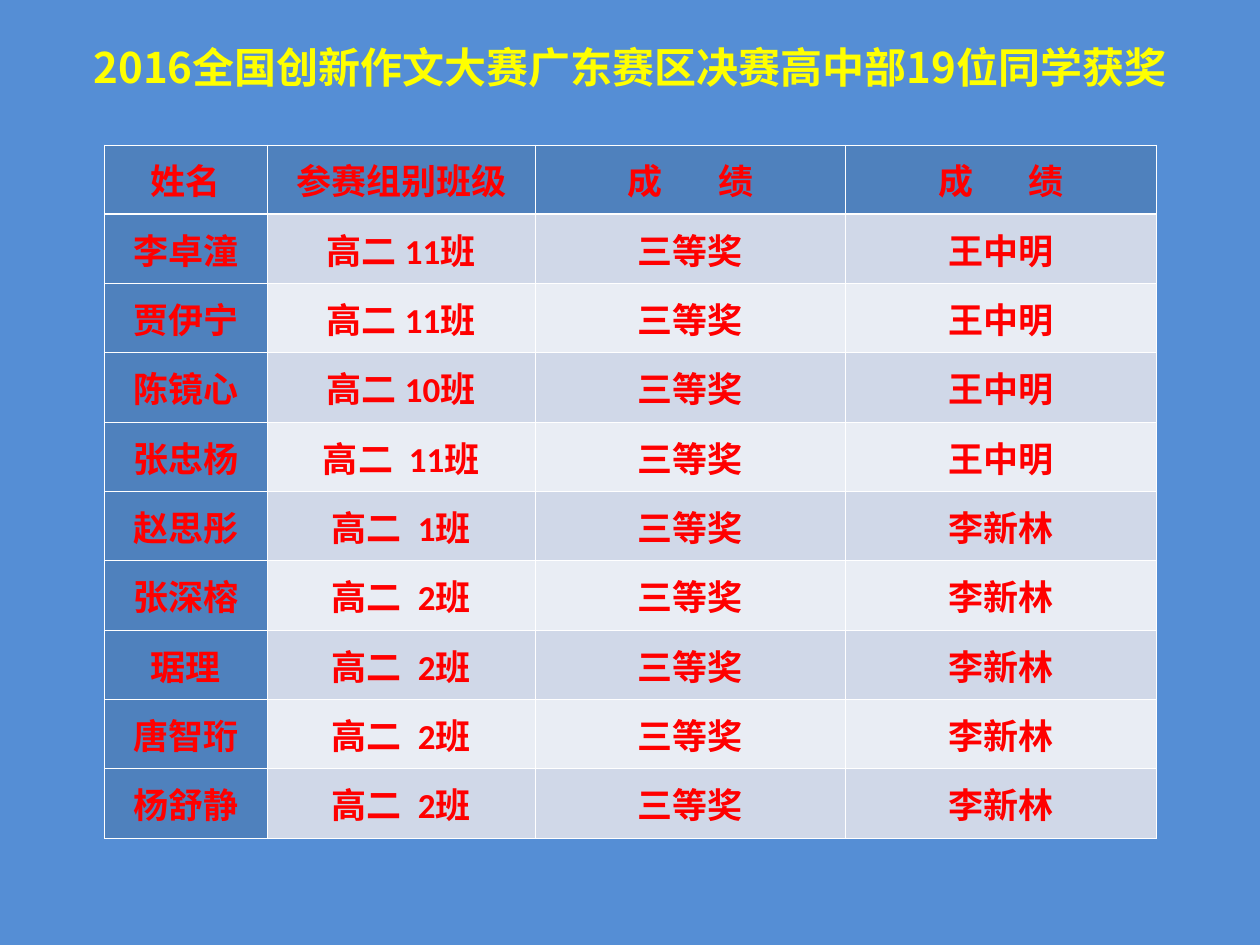
from dataclasses import dataclass

from lxml import etree
from pptx import Presentation
from pptx import util as u
from pptx.dml.color import RGBColor
from pptx.enum import text
from pptx.oxml.ns import qn


@dataclass(frozen=True)
class Theme:
    background: str = "558ED5"
    title: str = "FFFF00"
    body: str = "FF0000"
    heading_fill: str = "4F81BD"
    band_fills: tuple = ("E9EDF4", "D0D8E8")
    border: str = "FFFFFF"
    thin: float = 0.45
    thick: float = 1.47
    title_size: int = 24
    body_size: int = 20
    latin_font: str = "Calibri"
    chinese_font: str = "Noto Sans CJK SC"


theme = Theme()


def write_text(frame, content, *, size, color, font, gap=0):
    """Write one centred bold line; gap widens its spaces, in points."""
    paragraph = frame.paragraphs[0]
    paragraph.alignment = text.PP_ALIGN.CENTER
    first, space, last = content.partition(" ")
    for piece in filter(None, (first, space, last)):
        run = paragraph.add_run()
        run.text = piece
        run.font.name = font
        run.font.size = u.Pt(size)
        run.font.bold = True
        run.font.color.rgb = RGBColor.from_string(color)
        properties = run.font._element
        east_asian = etree.SubElement(properties, qn("a:ea"))
        east_asian.set("typeface", theme.chinese_font)
        if piece == " " and gap:
            properties.set("spc", str(int(gap * 100)))


def add_border(cell, side, width):
    properties = cell._tc.get_or_add_tcPr()
    line = etree.SubElement(properties, qn(f"a:ln{side}"), w=str(u.Pt(width)))
    fill = etree.SubElement(line, qn("a:solidFill"))
    etree.SubElement(fill, qn("a:srgbClr"), val=theme.border)


presentation = Presentation()
presentation.slide_width = u.Inches(10)
presentation.slide_height = u.Inches(7.5)
slide = presentation.slides.add_slide(presentation.slide_layouts[6])
slide.background.fill.solid()
slide.background.fill.fore_color.rgb = RGBColor.from_string(theme.background)

# Title
title = slide.shapes.add_textbox(
    u.Inches(0.43), u.Inches(0.28), u.Inches(9.14), u.Inches(0.5))
title.text_frame.word_wrap = True
write_text(title.text_frame, "2016全国创新作文大赛广东赛区决赛高中部19位同学获奖",
           size=theme.title_size, color=theme.title, font=theme.chinese_font)

# Award records: name, class, teacher and extra gap before the class number
students = [
    ("李卓潼", "11班", "王中明", 0),
    ("贾伊宁", "11班", "王中明", 0),
    ("陈镜心", "10班", "王中明", 0),
    ("张忠杨", "11班", "王中明", 4.5),
    ("赵思彤", "1班", "李新林", 4.5),
    ("张深榕", "2班", "李新林", 4.5),
    ("琚理", "2班", "李新林", 4.5),
    ("唐智珩", "2班", "李新林", 4.5),
    ("杨舒静", "2班", "李新林", 4.5),
]
heading_gap = 27
rows = [(("姓名", "参赛组别班级", "成 绩", "成 绩"), heading_gap)]
for name, group, teacher, gap in students:
    rows.append(((name, f"高二 {group}", "三等奖", teacher), gap))

# Award table
column_widths = [1.29, 2.13, 2.46, 2.47]
row_height = 0.55
table = slide.shapes.add_table(
    len(rows), len(column_widths), u.Inches(0.83), u.Inches(1.15),
    u.Inches(sum(column_widths)), u.Inches(row_height * len(rows))).table
for column, width in zip(table.columns, column_widths):
    column.width = u.Inches(width)

for row_index, (values, gap) in enumerate(rows):
    table.rows[row_index].height = u.Inches(row_height)
    for column_index, value in enumerate(values):
        cell = table.cell(row_index, column_index)
        cell.vertical_anchor = text.MSO_ANCHOR.MIDDLE
        if column_index == len(values) - 1:
            cell.margin_left = cell.margin_right = u.Inches(0.01)

        # A thick rule parts the heading row from the records
        thick_side = {0: "B", 1: "T"}.get(row_index)
        for side in "LRTB":
            add_border(cell, side, theme.thick if side == thick_side else theme.thin)

        is_heading = row_index == 0 or column_index == 0
        fill = theme.heading_fill if is_heading else theme.band_fills[row_index % 2]
        cell.fill.solid()
        cell.fill.fore_color.rgb = RGBColor.from_string(fill)
        write_text(cell.text_frame, value, size=theme.body_size,
                   color=theme.body, font=theme.latin_font, gap=gap)

presentation.save("out.pptx")
